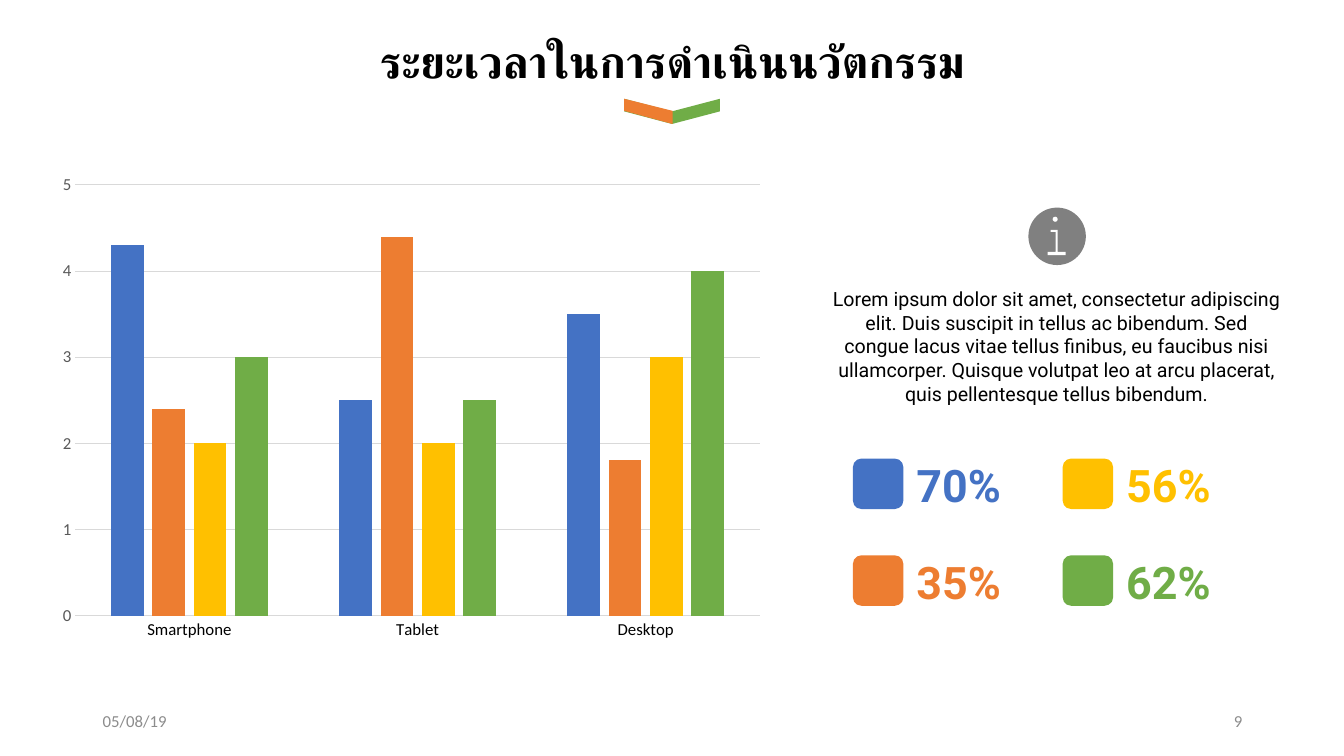
from pptx import Presentation
from pptx.chart.data import CategoryChartData
from pptx.dml.color import RGBColor
from pptx.enum.chart import XL_CHART_TYPE, XL_TICK_MARK
from pptx.enum.shapes import MSO_SHAPE
from pptx.enum.text import MSO_ANCHOR, MSO_AUTO_SIZE, PP_ALIGN
from pptx.util import Inches, Pt

TITLE = "ระยะเวลาในการดำเนินนวัตกรรม"
BODY = ("Lorem ipsum dolor sit amet, consectetur adipiscing elit. "
        "Duis suscipit in tellus ac bibendum. Sed congue lacus vitae tellus "
        "finibus, eu faucibus nisi ullamcorper. Quisque volutpat leo at arcu "
        "placerat, quis pellentesque tellus bibendum.")
DATE, PAGE = "05/08/19", "9"
BLUE, ORANGE, YELLOW, GREEN = "4472C4", "ED7D31", "FFC000", "70AD47"
BLACK, WHITE, GREY = "000000", "FFFFFF", "808080"
CATEGORIES = ["Smartphone", "Tablet", "Desktop"]
SERIES = [
    ("Series 1", (4.3, 2.5, 3.5), BLUE),
    ("Series 2", (2.4, 4.4, 1.8), ORANGE),
    ("Series 3", (2, 2, 3), YELLOW),
    ("Series 4", (3, 2.5, 4), GREEN),
]
STATS = [[("70%", BLUE), ("56%", YELLOW)], [("35%", ORANGE), ("62%", GREEN)]]
RIBBON_LEFT = [(6.19, 0.98), (6.67, 1.1), (6.67, 1.23), (6.19, 1.1)]
LETTER_I = [(10.42, 2.28), (10.49, 2.28), (10.49, 2.5), (10.57, 2.5),
            (10.57, 2.53), (10.39, 2.53), (10.39, 2.5), (10.47, 2.5),
            (10.47, 2.3), (10.42, 2.3)]


def rgb(color):
    return RGBColor.from_string(color)


def set_font(font, size, color, name="Calibri", bold=False):
    font.name, font.size, font.bold = name, Pt(size), bold
    font.color.rgb = rgb(color)


def paint(sp, color):
    sp.shadow.inherit = False
    sp.fill.solid()
    sp.fill.fore_color.rgb = rgb(color)
    sp.line.fill.background()
    return sp


def add_shape(s, kind, box, color):
    return paint(s.shapes.add_shape(kind, *map(Inches, box)), color)


def add_outline(s, points, color):
    start, *rest = [(Inches(x), Inches(y)) for x, y in points]
    builder = s.shapes.build_freeform(*start)
    builder.add_line_segments(rest, close=True)
    return paint(builder.convert_to_shape(), color)


def write(sp, text, size, color, name="Calibri", bold=False,
          align=PP_ALIGN.LEFT, anchor=MSO_ANCHOR.MIDDLE, inset=None):
    tf = sp.text_frame
    tf.word_wrap = True
    tf.auto_size = MSO_AUTO_SIZE.NONE
    tf.vertical_anchor = anchor
    if inset is not None:
        tf.margin_left = tf.margin_right = Inches(inset)
        tf.margin_top = tf.margin_bottom = Inches(inset)
    p = tf.paragraphs[0]
    p.alignment = align
    r = p.add_run()
    r.text = text
    set_font(r.font, size, color, name, bold)


def add_text(s, box, *args, **kwargs):
    write(s.shapes.add_textbox(*map(Inches, box)), *args, **kwargs)


def add_title(s):
    sp = s.shapes.title
    sp.left, sp.top, sp.width, sp.height = map(Inches, (0.71, 0.28, 11.92, 0.64))
    write(sp, TITLE, 32, BLACK, bold=True, align=PP_ALIGN.CENTER)
    add_shape(s, MSO_SHAPE.CHEVRON, (6.54, 0.63, 0.25, 0.95), GREEN).rotation = 90
    add_outline(s, RIBBON_LEFT, ORANGE)


def add_columns(s):
    data = CategoryChartData()
    data.categories = CATEGORIES
    for name, values, _ in SERIES:
        data.add_series(name, values)
    box = map(Inches, (0.48, 1.64, 7.2, 4.8))
    chart = s.shapes.add_chart(XL_CHART_TYPE.COLUMN_CLUSTERED, *box, data).chart
    chart.has_legend = chart.has_title = False
    set_font(chart.font, 10, BLACK)
    plot = chart.plots[0]
    plot.vary_by_categories = False
    plot.gap_width, plot.overlap = 219, -27
    for series, (_, _, color) in zip(plot.series, SERIES):
        series.format.fill.solid()
        series.format.fill.fore_color.rgb = rgb(color)
    cat, val = chart.category_axis, chart.value_axis
    for axis, color in ((cat, BLACK), (val, "595959")):
        axis.major_tick_mark = axis.minor_tick_mark = XL_TICK_MARK.NONE
        set_font(axis.tick_labels.font, 12, color)
    val.minimum_scale, val.maximum_scale, val.major_unit = 0, 5, 1
    val.format.line.fill.background()
    for line in (cat.format.line, val.major_gridlines.format.line):
        line.color.rgb = rgb("D9D9D9")
        line.width = Pt(0.75)


def add_info(s):
    add_shape(s, MSO_SHAPE.OVAL, (10.2, 2.06, 0.57, 0.57), GREY)
    add_shape(s, MSO_SHAPE.OVAL, (10.44, 2.15, 0.05, 0.05), WHITE)
    add_outline(s, LETTER_I, WHITE)
    add_text(s, (8.24, 2.85, 4.48, 1.18), BODY, 14, BLACK, "Roboto",
             align=PP_ALIGN.CENTER, anchor=MSO_ANCHOR.TOP, inset=0)


def add_stats(s):
    for row, stats in enumerate(STATS):
        for col, (value, color) in enumerate(stats):
            x, y = 8.46 + col * 2.08, 4.55 + row * 0.96
            add_shape(s, MSO_SHAPE.ROUNDED_RECTANGLE, (x, y, 0.5, 0.5), color)
            add_text(s, (x + 0.63, y - 0.01, 1.33, 0.54), value, 32, color,
                     "Roboto", bold=True, inset=0)


def main():
    prs = Presentation()
    prs.slide_width, prs.slide_height = Inches(13.33), Inches(7.5)
    s = prs.slides.add_slide(prs.slide_layouts[5])
    add_title(s)
    add_columns(s)
    add_info(s)
    add_stats(s)
    for x, text, align in ((0.92, DATE, PP_ALIGN.LEFT), (9.42, PAGE, PP_ALIGN.RIGHT)):
        add_text(s, (x, 6.95, 3, 0.4), text, 12, "8C8C8C", align=align)
    prs.save("out.pptx")


if __name__ == "__main__":
    main()
